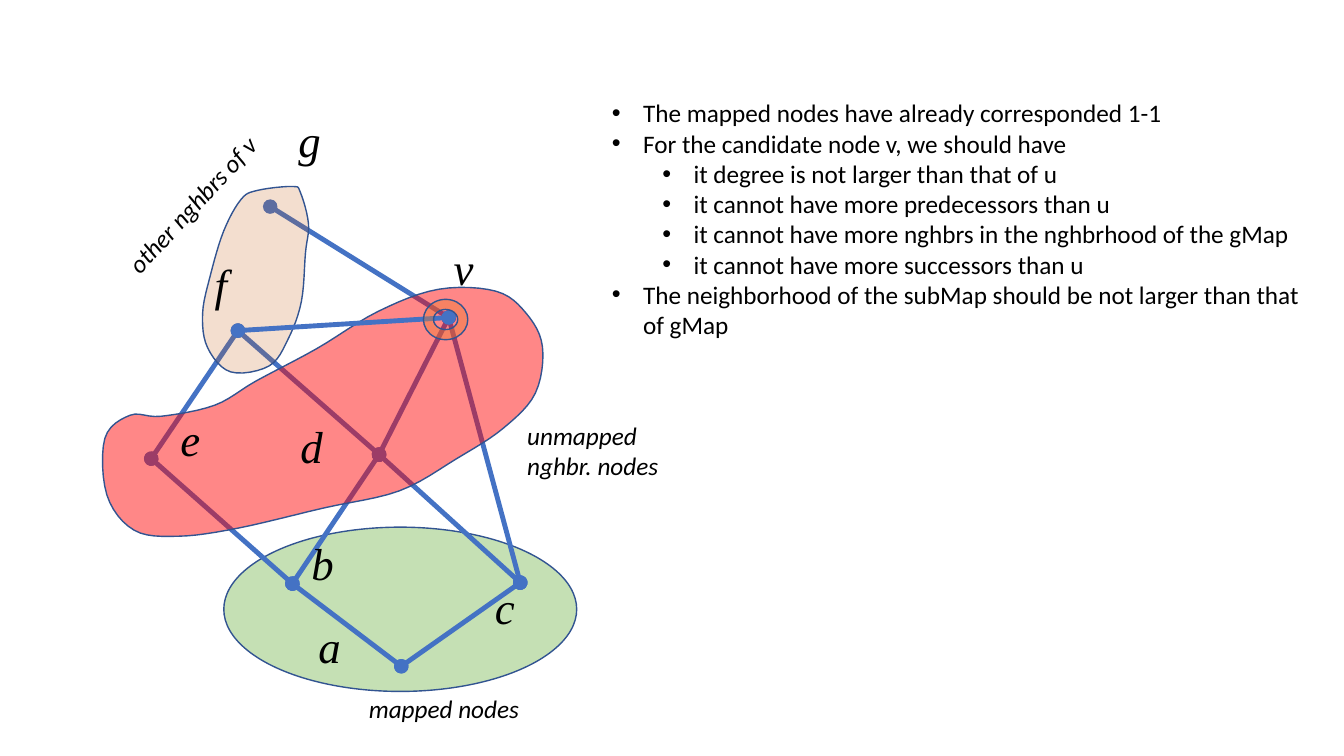
"""Build a slide showing mapped, unmapped and other neighbour nodes of a graph."""
import lxml.etree
import pptx
import pptx.dml.color
import pptx.enum.shapes
import pptx.oxml.ns
import pptx.util

Inches = pptx.util.Inches
Pt = pptx.util.Pt
RGBColor = pptx.dml.color.RGBColor
MSO_SHAPE = pptx.enum.shapes.MSO_SHAPE
MSO_CONNECTOR = pptx.enum.shapes.MSO_CONNECTOR
qn = pptx.oxml.ns.qn

BLACK = RGBColor(0x00, 0x00, 0x00)
EDGE_BLUE = RGBColor(0x44, 0x72, 0xC4)
OUTLINE = RGBColor(0x32, 0x54, 0x91)
GREEN = RGBColor(0xC5, 0xE0, 0xB4)
RED = RGBColor(0xFF, 0x00, 0x00)
BROWN = RGBColor(0xC5, 0x5A, 0x11)
ORANGE = RGBColor(0xED, 0x7D, 0x31)

BULLET_HANG = 0.31
LEVEL_STEP = 0.5
CURVE_STEPS = 6

prs = pptx.Presentation()
prs.slide_width = Inches(13.33)
prs.slide_height = Inches(7.5)
slide = prs.slides.add_slide(prs.slide_layouts[6])
shapes = slide.shapes


def add_text(lines, left, top, width, height, size=18, font="Calibri",
             italic=True, rotation=0, wrap=True, levels=None):
    """Add a text box, one paragraph a line, bulleted when levels are given."""
    sp = shapes.add_textbox(Inches(left), Inches(top), Inches(width), Inches(height))
    sp.rotation = rotation
    tf = sp.text_frame
    tf.word_wrap = wrap
    for i, line in enumerate(lines):
        p = tf.add_paragraph() if i else tf.paragraphs[0]
        if levels:
            p.level = levels[i]
            pPr = p._p.get_or_add_pPr()
            pPr.set("marL", str(Inches(BULLET_HANG + LEVEL_STEP * levels[i])))
            pPr.set("indent", str(Inches(-BULLET_HANG)))
            lxml.etree.SubElement(pPr, qn("a:buFont")).set("typeface", "Arial")
            lxml.etree.SubElement(pPr, qn("a:buChar")).set("char", "•")
        r = p.add_run()
        r.text = line
        r.font.size = Pt(size)
        r.font.name = font
        r.font.italic = italic
        r.font.color.rgb = BLACK


def add_edge(start, end):
    """Join two named nodes with a line that has a dot at each end."""
    (x1, y1), (x2, y2) = nodes[start], nodes[end]
    edge = shapes.add_connector(MSO_CONNECTOR.STRAIGHT,
                                Inches(x1), Inches(y1), Inches(x2), Inches(y2))
    edge.line.color.rgb = EDGE_BLUE
    edge.line.width = Pt(3.5)
    ln = edge._element.spPr.find(qn("a:ln"))
    for tag in ("a:headEnd", "a:tailEnd"):
        lxml.etree.SubElement(ln, qn(tag)).set("type", "oval")
    lxml.etree.SubElement(edge._element.spPr, qn("a:effectLst"))


conditions = [
    (0, "The mapped nodes have already corresponded 1-1"),
    (0, "For the candidate node v, we should have"),
    (1, "it degree is not larger than that of u"),
    (1, "it cannot have more predecessors than u"),
    (1, "it cannot have more nghbrs in the nghbrhood of the gMap"),
    (1, "it cannot have more successors than u"),
    (0, "The neighborhood of the subMap should be not larger than that of gMap"),
]
levels, lines = zip(*conditions)
add_text(lines, 5.97, 0.92, 7.19, 2.52, italic=False, levels=levels)

nodes = {
    "a": (3.98, 6.61), "b": (2.9, 5.79), "c": (5.16, 5.78), "d": (3.76, 4.51),
    "e": (1.5, 4.55), "f": (2.36, 3.28), "g": (2.68, 2.05), "v": (4.45, 3.15),
}
label_corners = {
    "a": (3.06, 6.09), "b": (2.99, 5.27), "c": (4.81, 5.7), "d": (2.88, 4.1),
    "e": (1.69, 4.04), "f": (2.03, 2.5), "g": (2.86, 1.07), "v": (4.4, 2.34),
}
edges_behind_regions = ["ca", "ab", "bd", "cd", "df", "dv", "be", "cv", "ef", "vg"]
edge_in_front = "vf"

mapped = shapes.add_shape(MSO_SHAPE.OVAL, Inches(2.22), Inches(5.23), Inches(3.5), Inches(1.63))
for start, end in edges_behind_regions:
    add_edge(start, end)

region_anchors = {
    "unmapped": [
        (1.29, 4.12), (1.6, 4.13), (2.13, 4.02), (2.54, 3.78), (3.14, 3.46),
        (3.75, 3.09), (4.35, 2.87), (4.92, 2.89), (5.22, 3.11), (5.38, 3.44),
        (5.31, 3.9), (4.99, 4.25), (4.53, 4.55), (3.96, 4.87), (3.21, 5.04),
        (2.36, 5.24), (1.77, 5.32), (1.33, 5.26), (1.06, 4.91), (1.04, 4.35)],
    "other": [
        (2.39, 1.98), (2.22, 2.29), (2.09, 2.72), (2.01, 3.11), (2.06, 3.45),
        (2.29, 3.69), (2.67, 3.63), (2.86, 3.36), (2.99, 2.99), (3.03, 2.51),
        (3.06, 2.22), (2.98, 1.91), (2.9, 1.85), (2.55, 1.89)],
}
regions = {}
for name, anchors in region_anchors.items():
    curve = []
    count = len(anchors)
    for i in range(count):
        before, here, after, beyond = (anchors[(i + k) % count] for k in (-1, 0, 1, 2))
        for step in range(CURVE_STEPS):
            t = step / CURVE_STEPS
            curve.append([
                Inches(q + t * (r - p) / 2
                       + t ** 2 * (2 * p - 5 * q + 4 * r - s) / 2
                       + t ** 3 * (3 * q - p - 3 * r + s) / 2)
                for p, q, r, s in zip(before, here, after, beyond)])
    builder = shapes.build_freeform(*curve[0])
    builder.add_line_segments(curve[1:], close=True)
    regions[name] = builder.convert_to_shape()

add_edge(*edge_in_front)

add_text(["mapped nodes"], 3.56, 6.83, 2.78, 0.54)
add_text(["unmapped", "nghbr. nodes"], 5.13, 4.12, 2.41, 0.95)
add_text(["other nghbrs of v"], 0.93, 1.8, 2.01, 0.4, rotation=312.9, wrap=False)
for name, (left, top) in label_corners.items():
    add_text([name], left, top, 0.68, 0.86, size=32, font="Times New Roman")

candidate_ring = shapes.add_shape(MSO_SHAPE.DONUT, Inches(4.2), Inches(2.97),
                                  Inches(0.44), Inches(0.4))

fills = [
    (mapped, GREEN, 100),
    (regions["unmapped"], RED, 47),
    (regions["other"], BROWN, 20),
    (candidate_ring, ORANGE, 41),
]
for sp, color, opacity in fills:
    sp.shadow.inherit = False
    sp.fill.solid()
    sp.fill.fore_color.rgb = color
    sp.line.color.rgb = OUTLINE
    sp.line.width = Pt(1)
    if opacity < 100:
        clr = sp._element.spPr.find(qn("a:solidFill")).find(qn("a:srgbClr"))
        lxml.etree.SubElement(clr, qn("a:alpha")).set("val", str(opacity * 1000))

prs.save("out.pptx")
